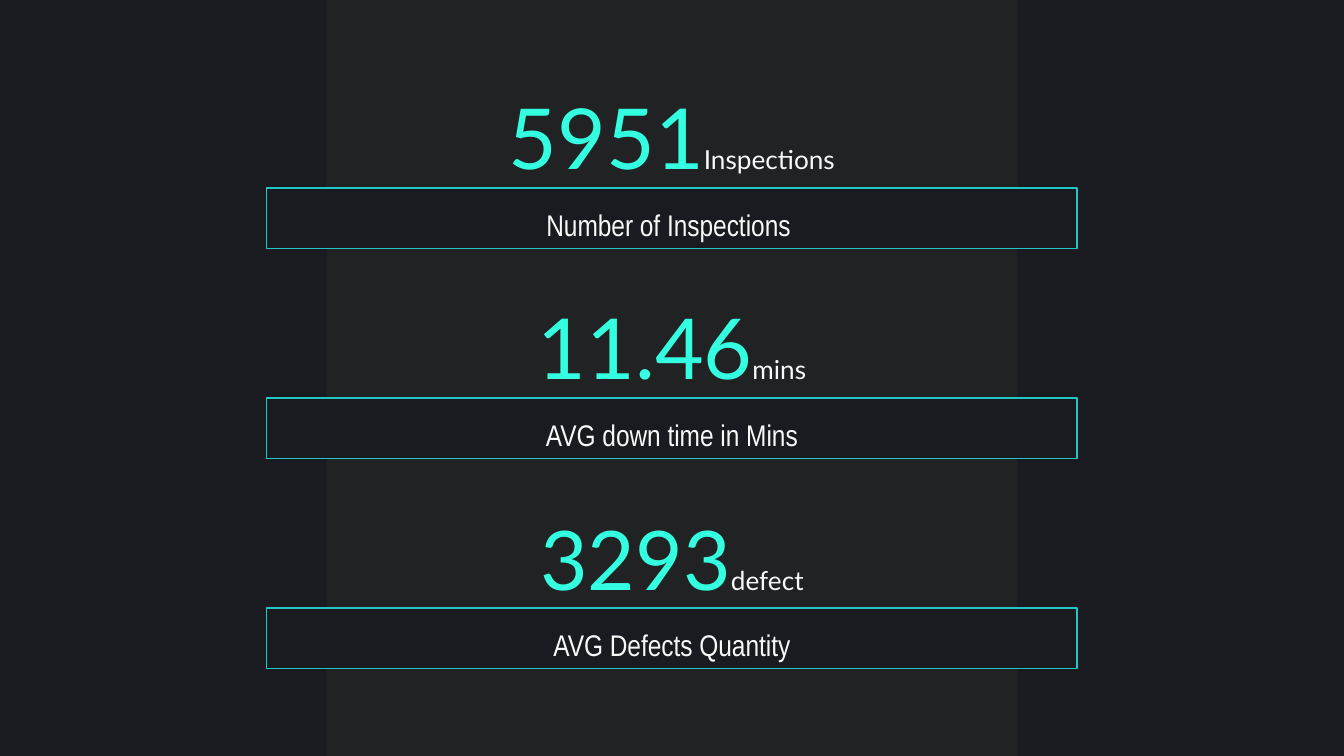
"""Build a dark slide with three stacked inspection figures."""
from lxml.etree import SubElement
from pptx import Presentation
from pptx.dml.color import RGBColor
from pptx.enum.shapes import MSO_SHAPE
from pptx.enum.text import MSO_ANCHOR, MSO_AUTO_SIZE, PP_ALIGN
from pptx.oxml.ns import qn
from pptx.util import Inches, Pt

METRICS = [
    ("5951", 45, "Inspections", "Number of Inspections "),
    ("11.46", 45, "mins", "AVG down time in Mins"),
    ("3293", 44, "defect", "AVG Defects Quantity"),
]
DARK = RGBColor(0x19, 0x1B, 0x20)
PANEL = RGBColor(0x22, 0x25, 0x25)
TEAL = RGBColor(0x20, 0xC7, 0xC4)
MINT = RGBColor(0x34, 0xFF, 0xE1)
WHITE = RGBColor(0xF8, 0xF8, 0xF8)
WIDTH = 10
HEIGHT = WIDTH * 9 / 16
PANEL_WIDTH, BOX_WIDTH = 5.14, 6.03
TOP, STEP = 0.65, HEIGHT / 3.6
FIGURE_HEIGHT, LABEL_OFFSET, LABEL_HEIGHT = 0.84, 0.75, 0.45


def centred(width):
    return Inches((WIDTH - width) / 2)


def add_panel(page):
    panel = page.shapes.add_shape(
        MSO_SHAPE.RECTANGLE, centred(PANEL_WIDTH), 0,
        Inches(PANEL_WIDTH), Inches(HEIGHT))
    panel.shadow.inherit = False
    panel.fill.solid()
    panel.fill.fore_color.rgb = PANEL
    panel.line.fill.background()
    color = panel._element.spPr.find(qn("a:solidFill"))[0]
    SubElement(color, qn("a:alpha"), val="78000")
    page.shapes._spTree.insert(2, panel._element)


def place_text(box, top, height, anchor, spacing, spans):
    box.left, box.top = centred(BOX_WIDTH), Inches(top)
    box.width, box.height = Inches(BOX_WIDTH), Inches(height)
    frame = box.text_frame
    settings = {"word_wrap": True, "auto_size": MSO_AUTO_SIZE.NONE,
                "vertical_anchor": anchor}
    settings.update({f"margin_{side}": Inches(0.1)
                     for side in ("left", "top", "right", "bottom")})
    for name, value in settings.items():
        setattr(frame, name, value)
    para = frame.paragraphs[0]
    para.alignment, para.line_spacing = PP_ALIGN.CENTER, spacing
    para.space_before = Pt(0)
    for text, size, font, color in spans:
        span = para.add_run()
        span.text = text
        span.font.size, span.font.name = Pt(size), font
        span.font.color.rgb = color


def outline(box):
    box.fill.solid()
    box.fill.fore_color.rgb = DARK
    box.line.color.rgb = TEAL
    box.line.width = Pt(0.75)


def main():
    deck = Presentation()
    deck.slide_width, deck.slide_height = Inches(WIDTH), Inches(HEIGHT)
    page = deck.slides.add_slide(deck.slide_layouts[0])
    page.background.fill.solid()
    page.background.fill.fore_color.rgb = DARK
    add_panel(page)
    for index, (figure, size, unit, caption) in enumerate(METRICS):
        if index == 0:
            value, label = page.shapes.title, page.placeholders[1]
        else:
            value, label = (page.shapes.add_textbox(0, 0, 0, 0) for _ in range(2))
        top = TOP + index * STEP
        place_text(value, top, FIGURE_HEIGHT, MSO_ANCHOR.BOTTOM, 1.0,
                   [(figure, size, "Lato", MINT), (unit, 14, "Lato", WHITE)])
        place_text(label, top + LABEL_OFFSET, LABEL_HEIGHT, MSO_ANCHOR.TOP, 1.15,
                   [(caption, 16, "Arial Narrow", WHITE)])
        outline(label)
    deck.save("out.pptx")


if __name__ == "__main__":
    main()
